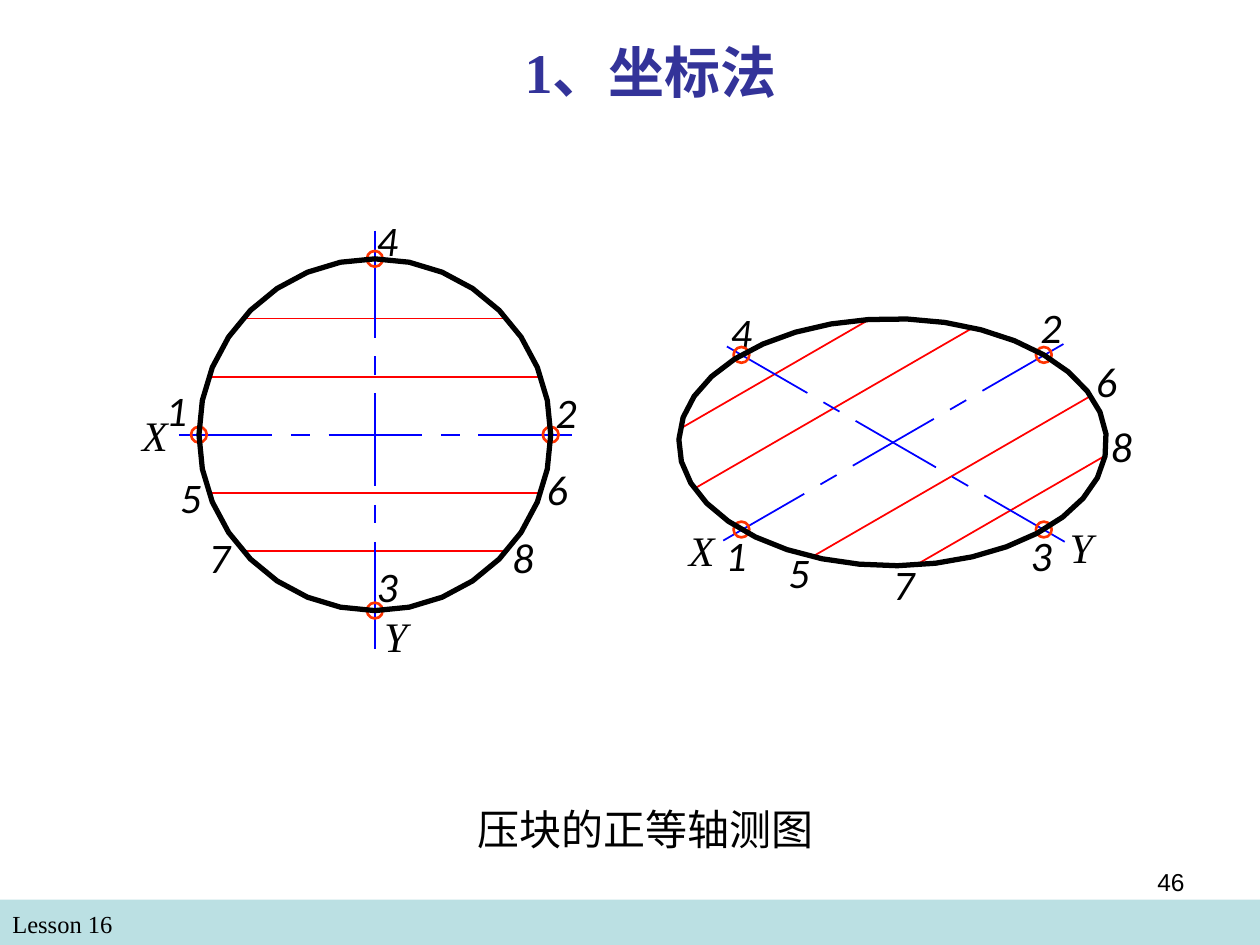
from itertools import accumulate
from math import cos, pi, sin, sqrt

from lxml.etree import SubElement
from pptx import Presentation
from pptx.dml.color import RGBColor
from pptx.enum.shapes import MSO_CONNECTOR, MSO_SHAPE
from pptx.enum.text import PP_ALIGN
from pptx.oxml.ns import qn
from pptx.util import Pt

BLACK = RGBColor(0, 0, 0)
RED = RGBColor(255, 0, 0)
BLUE = RGBColor(0, 0, 255)
ORANGE = RGBColor(255, 51, 0)
INDIGO = RGBColor(51, 51, 153)
PALE_TEAL = RGBColor(187, 224, 227)

SERIF = "Times New Roman"
DOT = 9
LABEL = 36

FIGURES = [
    {
        "centre": (214.2, 248.4),
        "x_axis": (100.5, 0),
        "y_axis": (0, 100.5),
        "sides": 32,
        "chord_step": 0.33,
        "centre_lines": [
            ((102.2, 248.4), (326.9, 248.4), 5),
            ((214.2, 131.8), (214.2, 370.8), 5.75),
        ],
        "labels": [
            ("5", 95.8, 265.7), ("7", 112.3, 300.2), ("8", 285.8, 300.2),
            ("6", 305.3, 261.4), ("X", 74.2, 230.4), ("Y", 212.4, 345.6),
            ("1", 87.8, 216), ("2", 310.3, 217.4), ("3", 208.1, 316.8),
            ("4", 208.1, 118.8),
        ],
    },
    {
        "centre": (510.1, 252.7),
        "x_axis": (86.4, -49.9),
        "y_axis": (86.4, 49.9),
        "sides": 35,
        "chord_step": 0.39,
        "centre_lines": [
            ((413.3, 308.9), (607.7, 196.6), 5),
            ((415.4, 198), (608.4, 309.6), 5),
        ],
        "labels": [
            ("7", 503.3, 315.4), ("5", 443.5, 308.9), ("6", 619.2, 199.4),
            ("8", 627.8, 236.9), ("X", 386.6, 295.9), ("Y", 604.1, 294.5),
            ("1", 407.5, 298.8), ("4", 410.4, 171.4), ("3", 581.8, 298.8),
            ("2", 587.5, 168.5),
        ],
    },
]

TEXTS = [
    ("Lesson 16", (0, 516.2, 347.8, 24.5), 14, SERIF, BLACK, PP_ALIGN.LEFT, False),
    ("1、坐标法", (221.8, 18, 300.2, 46.1), 32, SERIF, INDIGO, PP_ALIGN.CENTER, True),
    ("压块的正等轴测图", (239.8, 455.8, 257.8, 36), 24, SERIF, BLACK, PP_ALIGN.CENTER, False),
    ("46", (516.2, 491.8, 167.8, 37.4), 14, "Arial", BLACK, PP_ALIGN.RIGHT, False),
]


def add_text(page, text, place, size, face, color, align=PP_ALIGN.LEFT, bold=False, italic=False):
    box = page.shapes.add_textbox(*map(Pt, place))
    box.text_frame.word_wrap = True
    para = box.text_frame.paragraphs[0]
    para.text = text
    para.alignment = align
    font = para.font
    font.size, font.name, font.bold, font.italic = Pt(size), face, bold, italic
    font.color.rgb = color


def add_line(page, start, end, color):
    line = page.shapes.add_connector(MSO_CONNECTOR.STRAIGHT, *map(Pt, (*start, *end)))
    line.line.color.rgb = color
    line.line.width = Pt(1)
    SubElement(line._element.spPr, qn("a:effectLst"))


def outline(shape, color, width):
    shape.fill.background()
    shape.line.color.rgb = color
    shape.line.width = Pt(width)
    shape.shadow.inherit = False


def point_on(figure, x, y):
    return tuple(
        c + x * across + y * down
        for c, across, down in zip(figure["centre"], figure["x_axis"], figure["y_axis"])
    )


def add_chords(page, figure):
    for step in (-2, -1, 1, 2):
        y = step * figure["chord_step"]
        x = sqrt(1 - y * y)
        add_line(page, point_on(figure, -x, y), point_on(figure, x, y), RED)


def add_centre_line(page, start, end, tail):
    pattern = [tail, 1, 1, 1, 5, 1, 1, 1, tail]
    stops = [0, *accumulate(pattern)]
    marks = [
        tuple(a + (b - a) * stop / stops[-1] for a, b in zip(start, end))
        for stop in stops
    ]
    for dash_start, dash_end in zip(marks[::2], marks[1::2]):
        add_line(page, dash_start, dash_end, BLUE)


def add_dots(page, figure):
    for x, y in ((1, 0), (0, 1), (-1, 0), (0, -1)):
        left, top = (value - DOT / 2 for value in point_on(figure, x, y))
        dot = page.shapes.add_shape(MSO_SHAPE.OVAL, Pt(left), Pt(top), Pt(DOT), Pt(DOT))
        outline(dot, ORANGE, 1.5)


def add_curve(page, figure):
    angles = [2 * pi * side / figure["sides"] for side in range(figure["sides"])]
    corners = [tuple(map(Pt, point_on(figure, cos(a), -sin(a)))) for a in angles]
    builder = page.shapes.build_freeform(*corners[0])
    builder.add_line_segments(corners[1:], close=True)
    outline(builder.convert_to_shape(), BLACK, 3)


def main():
    deck = Presentation()
    deck.slide_width, deck.slide_height = Pt(720), Pt(540)
    page = deck.slides.add_slide(deck.slide_layouts[6])

    band = page.shapes.add_shape(MSO_SHAPE.RECTANGLE, 0, Pt(514), Pt(720), Pt(26))
    band.fill.solid()
    band.fill.fore_color.rgb = PALE_TEAL
    band.line.fill.background()
    band.shadow.inherit = False

    for figure in FIGURES:
        add_chords(page, figure)
        for start, end, tail in figure["centre_lines"]:
            add_centre_line(page, start, end, tail)
        for text, left, top in figure["labels"]:
            face = SERIF if text.isalpha() else "Calibri"
            add_text(page, text, (left, top, LABEL, LABEL), 24, face, BLACK, italic=True)
        add_dots(page, figure)
        add_curve(page, figure)

    for text in TEXTS:
        add_text(page, *text)

    deck.save("out.pptx")


if __name__ == "__main__":
    main()
